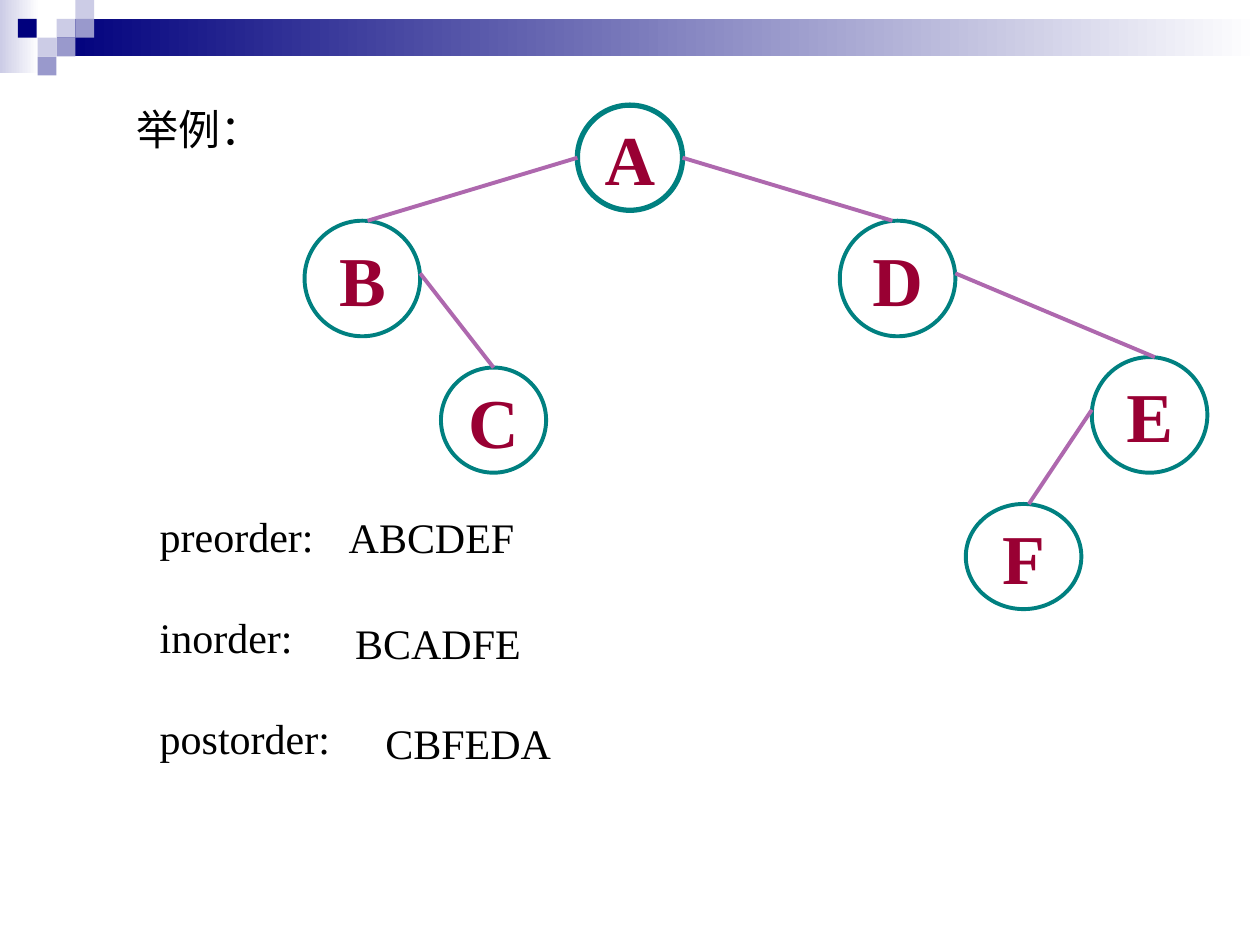
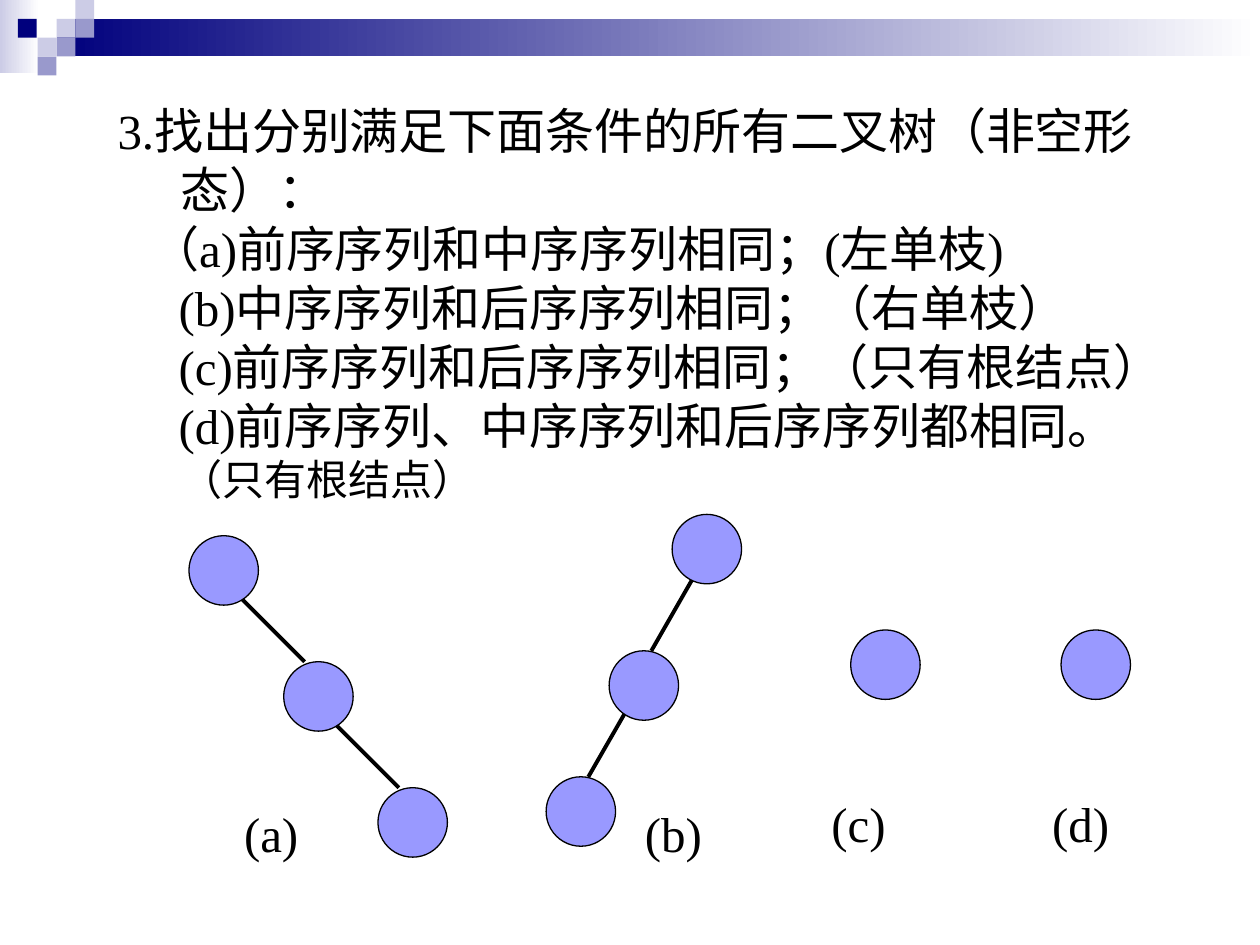
"""Build two slides on binary tree traversal orders."""
import itertools
from typing import NamedTuple

import pptx
import pptx.dml.color
import pptx.enum.dml
import pptx.enum.shapes
import pptx.enum.text
import pptx.oxml.ns
import pptx.util
from lxml import etree
from pptx.util import Cm

COLORS = {
    "navy": "00007D", "lilac": "CCCCE6", "slate": "9999CC", "white": "FFFFFF",
    "black": "000000", "teal": "008080", "crimson": "990033",
    "orchid": "AE68AE", "periwinkle": "9999FF",
}
FONT = "Times New Roman"
RECT = pptx.enum.shapes.MSO_SHAPE.RECTANGLE
OVAL = pptx.enum.shapes.MSO_SHAPE.OVAL
CENTER = pptx.enum.text.PP_ALIGN.CENTER
LEFT = pptx.enum.text.PP_ALIGN.LEFT


class Box(NamedTuple):
    x: float
    y: float
    w: float
    h: float


class Square(NamedTuple):
    x: float
    y: float
    color: str


class Node(NamedTuple):
    box: Box
    border: float = 2.25


class Edge(NamedTuple):
    parent: str
    child: str
    entry: float


class Item(NamedTuple):
    text: str
    left: float
    first: float


class Chain(NamedTuple):
    label: str
    label_x: float
    label_y: float
    circles: list
    entry: float = 0
    run: float = 0
    rise: float = 0


UNIT = 0.38
DIAMETER = 1.4
SQUARES = [
    Square(3 * UNIT, UNIT, "lilac"),
    Square(4 * UNIT, 0, "lilac"),
    Square(4 * UNIT, UNIT, "slate"),
    Square(2 * UNIT, 2 * UNIT, "lilac"),
    Square(0.36, UNIT, "navy"),
    Square(3 * UNIT, 2 * UNIT, "slate"),
    Square(2 * UNIT, 3 * UNIT, "slate"),
]
NODES = {
    "A": Node(Box(11.64, 2.12, 2.12, 2.12), 3),
    "B": Node(Box(6.14, 4.45, 2.33, 2.33)),
    "C": Node(Box(8.89, 7.41, 2.12, 2.12)),
    "D": Node(Box(16.93, 4.45, 2.33, 2.33)),
    "E": Node(Box(22.01, 7.2, 2.33, 2.33)),
    "F": Node(Box(19.47, 10.16, 2.33, 2.12)),
}
EDGES = [
    Edge("A", "B", 1.27), Edge("B", "C", 1.06), Edge("A", "D", 1.06),
    Edge("D", "E", 1.27), Edge("E", "F", 1.27),
]
ORDERS = {
    "ABCDEF": Box(6.78, 10.19, 3.84, 1.27),
    "BCADFE": Box(6.91, 12.32, 3.84, 1.27),
    "CBFEDA": Box(7.52, 14.33, 3.84, 1.27),
}
QUESTION = [
    Item("3.找出分别满足下面条件的所有二叉树（非空形态）：", 1.27, -1.27),
    Item("（a)前序序列和中序序列相同；(左单枝)", 1.27, -0.61),
    Item("(b)中序序列和后序序列相同；（右单枝）", 1.27, -0.04),
    Item("(c)前序序列和后序序列相同；（只有根结点）", 1.27, -0.04),
    Item("(d)前序序列、中序序列和后序序列都相同。 ", 1.27, -0.04),
]
CHAINS = [
    Chain("(a)", 4.67, 16.08, [(3.81, 10.8), (5.72, 13.34), (7.62, 15.88)],
          0.42, -1.27, 1.27),
    Chain("(b)", 12.75, 16.08, [(13.55, 10.37), (12.28, 13.12), (11.01, 15.66)],
          0.85, 0.85, 1.48),
    Chain("(c)", 16.51, 15.88, [(17.15, 12.7)]),
    Chain("(d)", 20.96, 15.88, [(21.39, 12.7)]),
]


def rgb(name: str) -> pptx.dml.color.RGBColor:
    return pptx.dml.color.RGBColor.from_string(COLORS[name])


def add_shape(s, kind, box: Box, fill: str, line: str = "", border: float = 0):
    sp = s.shapes.add_shape(kind, *map(Cm, box))
    sp.shadow.inherit = False
    sp.fill.solid()
    sp.fill.fore_color.rgb = rgb(fill)
    if line:
        sp.line.color.rgb = rgb(line)
        sp.line.width = pptx.util.Pt(border)
    else:
        sp.line.fill.background()
    return sp


def add_fade(s, box: Box, color: str) -> None:
    sp = add_shape(s, RECT, box, color)
    sp.fill.gradient()
    sp.fill.gradient_angle = 0
    for stop, position, name in zip(sp.fill.gradient_stops, (0, 1), (color, "white")):
        stop.position = position
        stop.color.rgb = rgb(name)


def add_line(s, x1: float, y1: float, x2: float, y2: float, color: str) -> None:
    straight = pptx.enum.shapes.MSO_CONNECTOR.STRAIGHT
    ln = s.shapes.add_connector(straight, *map(Cm, (x1, y1, x2, y2)))
    ln.line.color.rgb = rgb(color)
    ln.line.width = pptx.util.Pt(2.25)
    etree.SubElement(ln._element.spPr, pptx.oxml.ns.qn("a:effectLst"))


def style_run(r, size: float, color: str = "black", bold: bool = False) -> None:
    r.font.name = FONT
    r.font.size = pptx.util.Pt(size)
    r.font.bold = bold
    r.font.color.rgb = rgb(color)


def add_text(s, box: Box, text: str, size: float, align=LEFT, wrap: bool = False):
    tf = s.shapes.add_textbox(*map(Cm, box)).text_frame
    tf.word_wrap = wrap
    tf.auto_size = pptx.enum.text.MSO_AUTO_SIZE.SHAPE_TO_FIT_TEXT
    tf.text = text
    for p in tf.paragraphs:
        p.alignment = align
        for r in p.runs:
            style_run(r, size)
    return tf


def add_slide(prs):
    s = prs.slides.add_slide(prs.slide_layouts[6])
    add_fade(s, Box(0, 0, 0.79, 1.47), "lilac")
    add_fade(s, Box(3 * UNIT, UNIT, 25.4 - 3 * UNIT, 2 * UNIT), "navy")
    for square in SQUARES:
        add_shape(s, RECT, Box(square.x, square.y, UNIT, UNIT), square.color)
    return s


def add_node(s, name: str, node: Node) -> None:
    sp = add_shape(s, OVAL, node.box, "white", "teal", node.border)
    tf = sp.text_frame
    tf.word_wrap = False
    tf.vertical_anchor = pptx.enum.text.MSO_ANCHOR.MIDDLE
    tf.text = name
    p = tf.paragraphs[0]
    p.alignment = CENTER
    style_run(p.runs[0], 40, "crimson", True)


def add_edge(s, edge: Edge) -> None:
    parent, child = NODES[edge.parent].box, NODES[edge.child].box
    start_x = parent.x if child.x < parent.x else parent.x + parent.w
    add_line(s, start_x, parent.y + 1.06, child.x + edge.entry, child.y, "orchid")


def add_chain(s, chain: Chain) -> None:
    for x, y in itertools.islice(chain.circles, 1, None):
        end_x = x + chain.entry
        add_line(s, end_x + chain.run, y - chain.rise, end_x, y, "black")
    for x, y in chain.circles:
        add_shape(s, OVAL, Box(x, y, DIAMETER, DIAMETER), "periwinkle", "black", 0.75)
    add_text(s, Box(chain.label_x, chain.label_y, 1.8, 1.45), chain.label, 28)


def build_example(prs) -> None:
    s = add_slide(prs)
    for name, node in NODES.items():
        add_node(s, name, node)
    for edge in EDGES:
        add_edge(s, edge)
    add_text(s, Box(2.49, 1.96, 3.05, 1.27), "举例：", 24, CENTER)
    tf = add_text(s, Box(2.97, 10.16, 19.05, 5.33),
                  "preorder:\ninorder:\npostorder:", 24, wrap=True)
    for p in tf.paragraphs[1:]:
        p.space_before = pptx.util.Pt(29)
    for order, box in ORDERS.items():
        add_text(s, box, order, 24, CENTER)


def build_question(prs) -> None:
    s = add_slide(prs)
    text = "\n".join(item.text for item in QUESTION)
    tf = add_text(s, Box(2.12, 1.91, 22.23, 8.38), text, 28, wrap=True)
    for p, item in zip(tf.paragraphs, QUESTION):
        pPr = p._p.get_or_add_pPr()
        pPr.set("marL", str(Cm(item.left)))
        pPr.set("indent", str(Cm(item.first)))
    r = tf.paragraphs[-1].add_run()
    r.text = "（只有根结点）"
    style_run(r, 24)
    for chain in CHAINS:
        add_chain(s, chain)


def main() -> None:
    prs = pptx.Presentation()
    prs.slide_width, prs.slide_height = Cm(25.4), Cm(19.05)
    build_example(prs)
    build_question(prs)
    prs.save("out.pptx")


if __name__ == "__main__":
    main()
